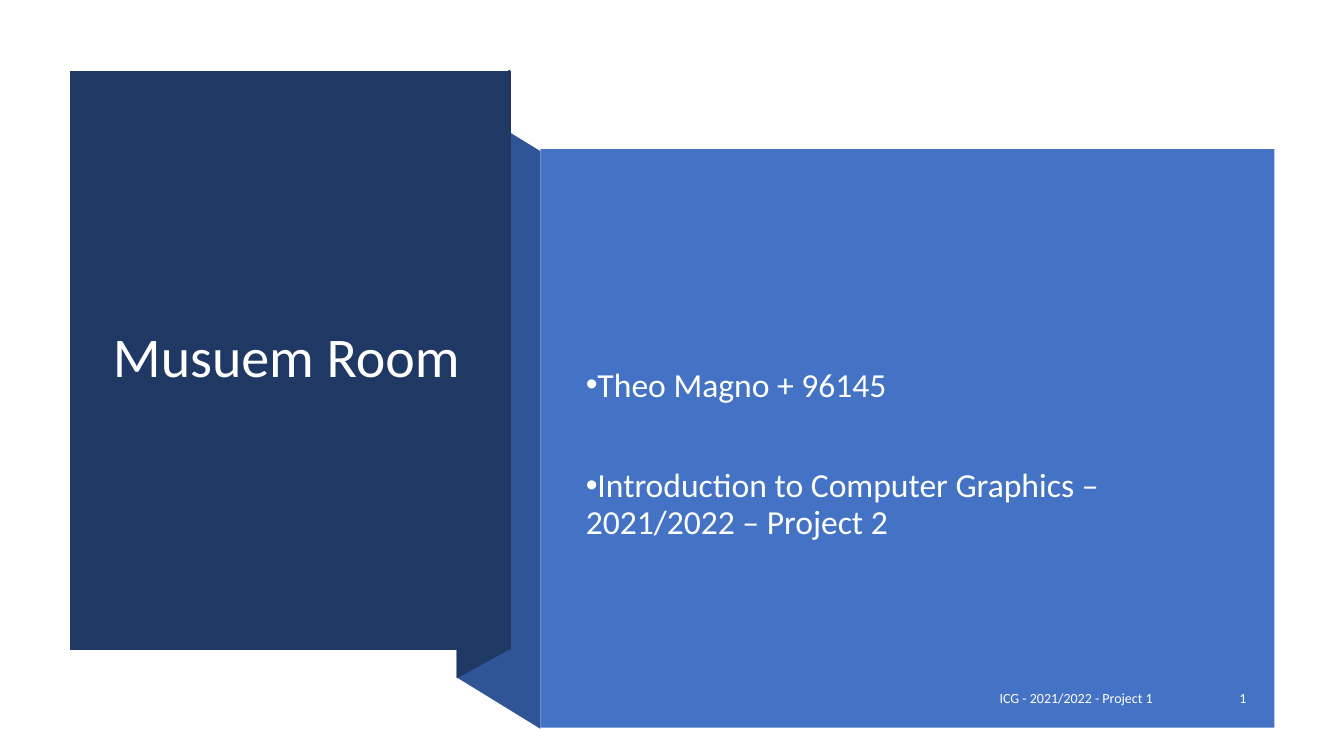
from lxml import etree
from pptx import Presentation
from pptx import util as u
from pptx.dml.color import RGBColor
from pptx.enum import shapes, text
from pptx.oxml.ns import qn

NAVY, MID_BLUE, BLUE, WHITE = "203864", "2F5597", "4472C4", "FFFFFF"


def paint(shape, color):
    shape.shadow.inherit = False
    shape.fill.solid()
    shape.fill.fore_color.rgb = RGBColor.from_string(color)
    shape.line.fill.background()


def write(para, words, size=24, color=WHITE, align=text.PP_ALIGN.LEFT,
          line=1.0, before=0, after=0):
    para.alignment = align
    para.line_spacing = line
    para.space_before, para.space_after = u.Pt(before), u.Pt(after)
    span = para.add_run()
    span.text = words
    span.font.name, span.font.size = "Calibri", u.Pt(size)
    span.font.color.rgb = RGBColor.from_string(color)


deck = Presentation()
deck.slide_width, deck.slide_height = u.Inches(13.33), u.Inches(7.5)
page = deck.slides.add_slide(deck.slide_layouts[0])

# Folded ribbon and title panel
outlines = [
    (MID_BLUE, [(5.36, 7.23), (4.53, 6.72), (4.53, 0.99), (5.36, 1.5)]),
    (NAVY, [(5.06, 6.44), (4.53, 6.73), (4.53, 0.98), (5.06, 0.69)]),
    (NAVY, [(0.69, 0.7), (5.07, 0.7), (5.07, 6.45), (0.69, 6.45)]),
]
for color, corners in outlines:
    points = [(u.Inches(x), u.Inches(y)) for x, y in corners]
    builder = page.shapes.build_freeform(*points[0])
    builder.add_line_segments(points[1:], close=True)
    paint(builder.convert_to_shape(), color)

# Content panel
panel = page.shapes.add_shape(shapes.MSO_SHAPE.RECTANGLE, u.Inches(5.36),
                              u.Inches(1.48), u.Inches(7.28), u.Inches(5.74))
paint(panel, BLUE)

# Title and subtitle, brought in front of the panels
title, subtitle = page.shapes.title, page.placeholders[1]
for box, place in [(title, (1.02, 1.07, 3.71, 4.99)),
                   (subtitle, (5.71, 1.88, 6.51, 4.74))]:
    box.left, box.top, box.width, box.height = map(u.Inches, place)
    box.text_frame.word_wrap = True
    box.text_frame.auto_size = text.MSO_AUTO_SIZE.NONE
    box.text_frame.vertical_anchor = text.MSO_ANCHOR.MIDDLE
    box.element.getparent().append(box.element)

write(title.text_frame.paragraphs[0], "Musuem Room", size=40, line=0.9)

# Bulleted lines, set a little below the middle
subtitle.text_frame.margin_top = u.Inches(0.57)
author = subtitle.text_frame.paragraphs[0]
course = subtitle.text_frame.add_paragraph()
write(author, "Theo Magno + 96145", color="FEFFFF", line=0.9)
write(course, "Introduction to Computer Graphics – 2021/2022 – Project 2",
      color="FEFFFF", line=0.9, before=46)
for para in (author, course):
    props = para._p.get_or_add_pPr()
    props.set("marL", "0")
    props.set("indent", str(-u.Inches(0.25)))
    etree.SubElement(props, qn("a:buFont")).set("typeface", "Arial")
    etree.SubElement(props, qn("a:buChar")).set("char", "•")

# Footer and page number
for words, left, width in [("ICG - 2021/2022 - Project 1", 8.44, 3.09),
                           ("1", 11.71, 0.75)]:
    box = page.shapes.add_textbox(u.Inches(left), u.Inches(6.75),
                                  u.Inches(width), u.Inches(0.35))
    box.text_frame.word_wrap = True
    box.text_frame.vertical_anchor = text.MSO_ANCHOR.MIDDLE
    write(box.text_frame.paragraphs[0], words, size=10,
          align=text.PP_ALIGN.RIGHT, after=6)

deck.save("out.pptx")
